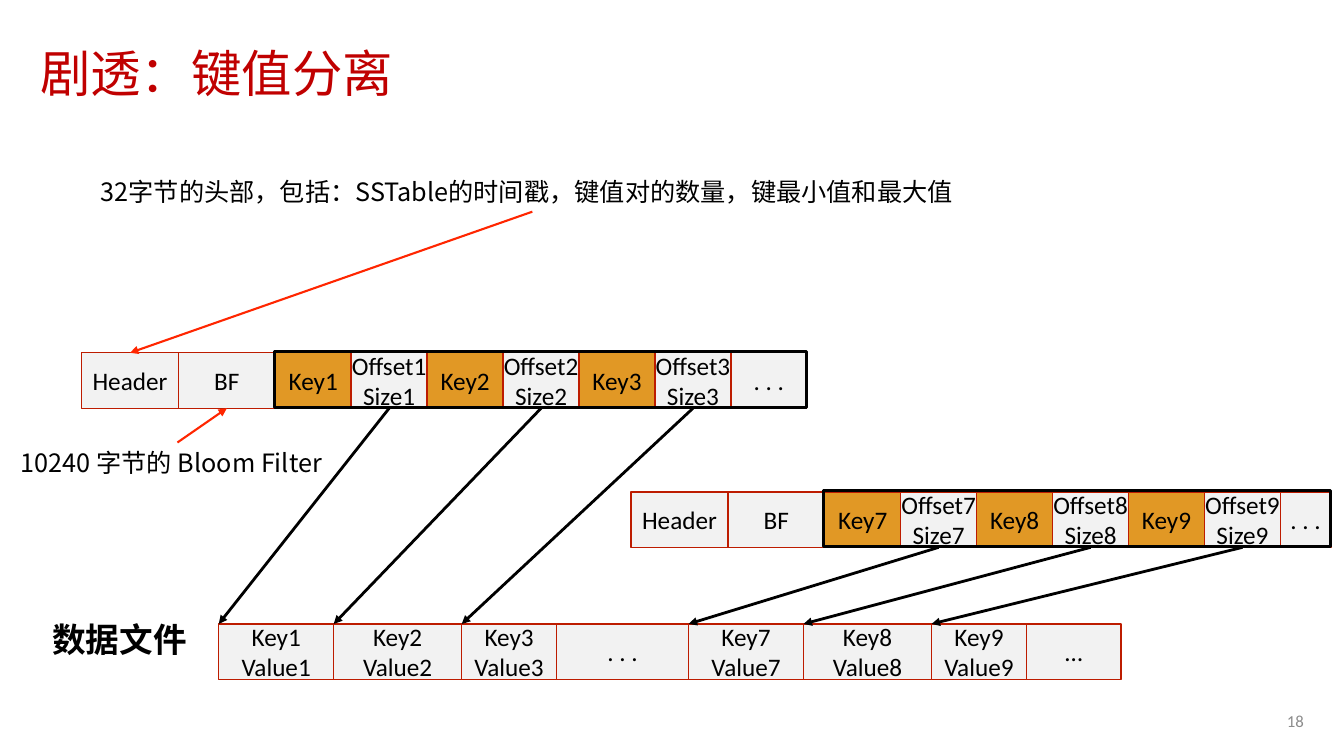
from dataclasses import dataclass

from lxml.etree import SubElement
from pptx import Presentation
from pptx.dml.color import RGBColor
from pptx.enum.shapes import MSO_CONNECTOR, MSO_SHAPE
from pptx.enum.text import MSO_ANCHOR, PP_ALIGN
from pptx.oxml.ns import qn
from pptx.shapes.autoshape import Shape
from pptx.util import Inches, Pt

BLACK = RGBColor(0x00, 0x00, 0x00)
GRAY = RGBColor(0x8C, 0x8C, 0x8C)
PALE = RGBColor(0xF2, 0xF2, 0xF2)
GOLD = RGBColor(0xE1, 0x98, 0x25)
RUST = RGBColor(0xBD, 0x1C, 0x00)
RED = RGBColor(0xFF, 0x26, 0x00)
CRIMSON = RGBColor(0xC0, 0x00, 0x00)

LATIN = "Calibri"
HAN = "Noto Sans CJK SC"

HIGH = 0.55
HEAD = 0.96
SLOT = 4.52 / 6
EDGE = 0.01
DATA_TOP = 6.19


@dataclass
class Cell:
    text: str
    width: float
    fill: RGBColor = PALE


@dataclass
class Table:
    left: float
    top: float
    first: int
    rest: float


@dataclass
class Label:
    text: str
    box: tuple[float, float, float, float]
    style: dict


@dataclass
class Arrow:
    start: tuple[float, float]
    end: tuple[float, float]
    color: RGBColor = BLACK
    weight: float = 2


TABLES = [Table(0.81, 3.5, 1, 0.75), Table(6.26, 4.88, 7, 0.5)]
WIDTHS = [1.14, 1.27, 0.94]
GAP = 1.31
LABELS = [
    Label("剧透：键值分离", (0.3, 0.4, 12.73, 0.71),
          dict(size=36, color=CRIMSON, anchor=MSO_ANCHOR.MIDDLE, space=0.9)),
    Label("32字节的头部，包括：SSTable的时间戳，键值对的数量，键最小值和最大值",
          (0.9, 1.7, 8.75, 0.4), {}),
    Label("10240 字节的 Bloom Filter", (0.11, 4.39, 3.31, 0.4), dict(wrap=False)),
    Label("数据文件", (0.42, 6.09, 1.55, 0.5), dict(size=24, bold=True, wrap=False)),
    Label("18", (9.42, 6.95, 3.61, 0.4),
          dict(size=12, font=LATIN, color=GRAY, align=PP_ALIGN.RIGHT,
               anchor=MSO_ANCHOR.MIDDLE)),
]
NOTES = [
    Arrow((5.28, 2.1), (1.29, 3.5), RED, 1.5),
    Arrow((1.76, 4.39), (2.25, 4.05), RED, 1.5),
]

deck = Presentation()
deck.slide_width = Inches(13.33)
deck.slide_height = Inches(7.5)
slide = deck.slides.add_slide(deck.slide_layouts[6])


def write(shape: Shape, text: str, *, size: float = 18, font: str = HAN,
          color: RGBColor = BLACK, bold: bool = False,
          align: PP_ALIGN = PP_ALIGN.LEFT, anchor: MSO_ANCHOR = MSO_ANCHOR.TOP,
          wrap: bool = True, space: float = 1) -> None:
    frame = shape.text_frame
    frame.word_wrap = wrap
    frame.vertical_anchor = anchor
    for index, line in enumerate(text.split("\n")):
        para = frame.add_paragraph() if index else frame.paragraphs[0]
        para.alignment = align
        para.line_spacing = space
        run = para.add_run()
        run.text = line
        run.font.size = Pt(size)
        run.font.bold = bold
        run.font.name = font
        run.font.color.rgb = color
        SubElement(run.font._element, qn("a:ea"), typeface=font)


def add_box(left: float, top: float, width: float, line: RGBColor,
            weight: float, fill: RGBColor | None = None) -> Shape:
    box = slide.shapes.add_shape(MSO_SHAPE.RECTANGLE, Inches(left), Inches(top),
                                 Inches(width), Inches(HIGH))
    box.shadow.inherit = False
    if fill is None:
        box.fill.background()
    else:
        box.fill.solid()
        box.fill.fore_color.rgb = fill
    box.line.color.rgb = line
    box.line.width = Pt(weight)
    return box


def add_row(left: float, top: float, cells: list[Cell]) -> list[float]:
    edges = [left]
    for cell in cells:
        box = add_box(edges[-1], top, cell.width, RUST, 1, cell.fill)
        write(box, cell.text, font=LATIN, align=PP_ALIGN.CENTER,
              anchor=MSO_ANCHOR.MIDDLE, wrap=False)
        edges.append(edges[-1] + cell.width)
    return edges


def add_arrow(arrow: Arrow) -> None:
    points = [Inches(value) for value in (*arrow.start, *arrow.end)]
    line = slide.shapes.add_connector(MSO_CONNECTOR.STRAIGHT, *points)
    line.line.color.rgb = arrow.color
    line.line.width = Pt(arrow.weight)
    SubElement(line.line._get_or_add_ln(), qn("a:tailEnd"), type="triangle")
    SubElement(line._element.spPr, qn("a:effectLst"))


def add_table(table: Table) -> list[float]:
    cells = [Cell("Header", HEAD), Cell("BF", HEAD)]
    for key in range(table.first, table.first + 3):
        cells += [Cell(f"Key{key}", SLOT, GOLD),
                  Cell(f"Offset{key}\nSize{key}", SLOT)]
    cells.append(Cell(". . .", table.rest))
    edges = add_row(table.left, table.top, cells)
    add_box(edges[2] - EDGE, table.top - EDGE, edges[-1] - edges[2] + EDGE, BLACK, 2)
    return [edge + SLOT / 2 for edge in edges[3:8:2]]


def add_data() -> list[float]:
    cells = []
    for table, rest in zip(TABLES, [Cell(". . .", GAP), Cell("…", WIDTHS[-1])]):
        cells += [Cell(f"Key{key}\nValue{key}", width)
                  for key, width in enumerate(WIDTHS, table.first)]
        cells.append(rest)
    return add_row(2.17, DATA_TOP, cells)


def main() -> None:
    for label in LABELS:
        left, top, width, height = map(Inches, label.box)
        write(slide.shapes.add_textbox(left, top, width, height),
              label.text, **label.style)
    edges = add_data()
    for index, table in enumerate(TABLES):
        starts = add_table(table)
        for start, end in zip(starts, edges[index * 4:]):
            add_arrow(Arrow((start, table.top + HIGH), (end, DATA_TOP)))
    for note in NOTES:
        add_arrow(note)
    deck.save("out.pptx")


if __name__ == "__main__":
    main()
